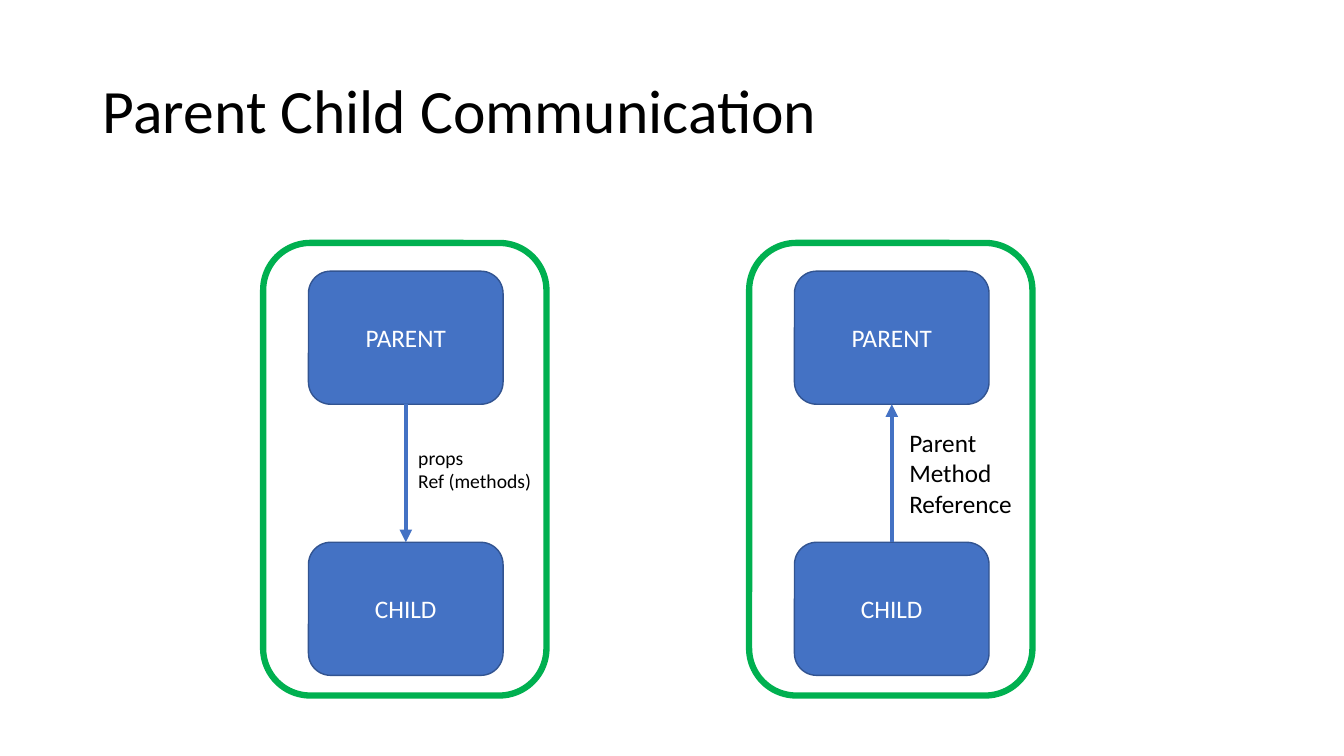
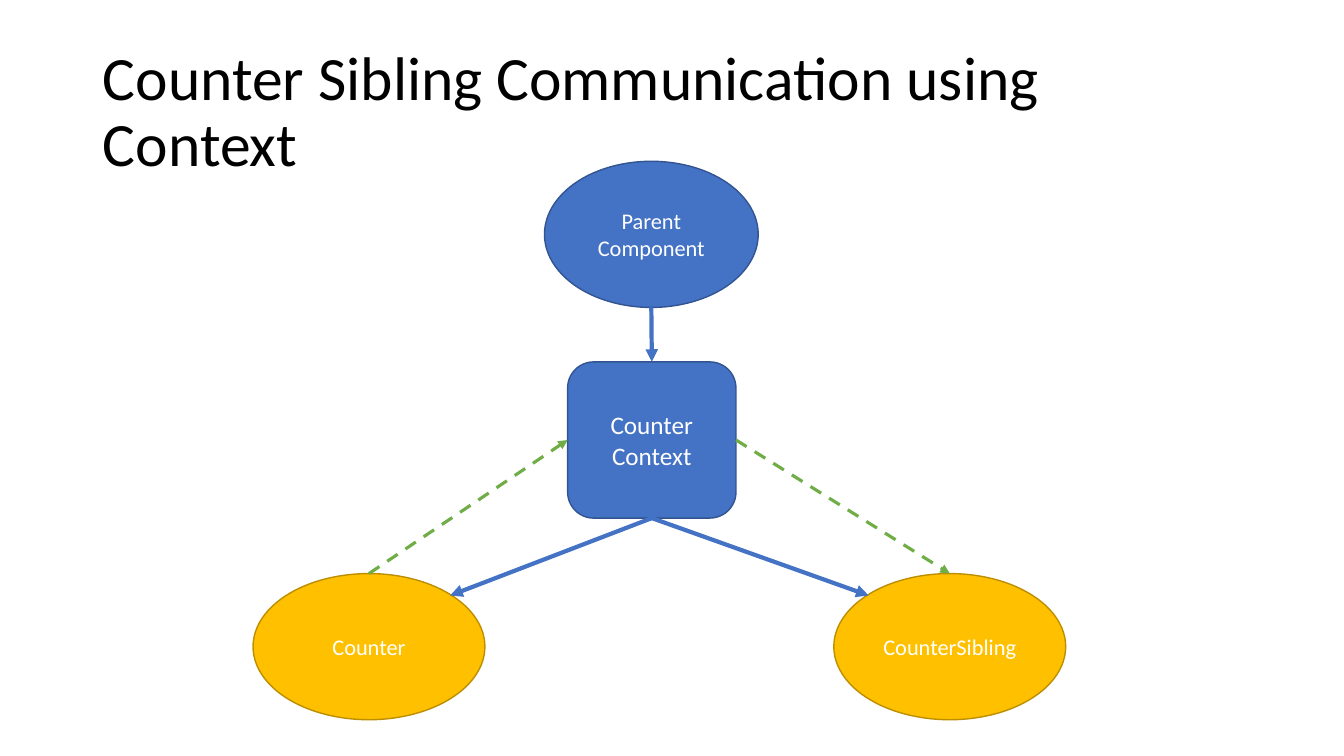
from lxml.etree import SubElement
from pptx import Presentation
from pptx.dml.color import RGBColor
from pptx.enum.dml import MSO_LINE
from pptx.enum.shapes import MSO_CONNECTOR, MSO_SHAPE
from pptx.enum.text import MSO_ANCHOR, MSO_AUTO_SIZE, PP_ALIGN
from pptx.oxml.ns import qn
from pptx.util import Inches, Pt

BLACK = RGBColor(0x00, 0x00, 0x00)
WHITE = RGBColor(0xFF, 0xFF, 0xFF)
BLUE = RGBColor(0x44, 0x72, 0xC4)
DARK_BLUE = RGBColor(0x32, 0x54, 0x91)
GOLD = RGBColor(0xFF, 0xC0, 0x00)
DARK_GOLD = RGBColor(0xBD, 0x8E, 0x00)
FRAME_GREEN = RGBColor(0x00, 0xB0, 0x50)
ARROW_GREEN = RGBColor(0x70, 0xAD, 0x47)

ROUNDED = MSO_SHAPE.ROUNDED_RECTANGLE
OVAL = MSO_SHAPE.OVAL

# Each site: share of the width, share of the height, rectangle site number
SITES = {
    "top": (0.5, 0, 0),
    "left": (0, 0.5, 1),
    "bottom": (0.5, 1, 2),
    "right": (1, 0.5, 3),
    "upper left": (0.15, 0.15, None),
    "upper right": (0.85, 0.15, None),
}


class Diagram:
    """Holds the deck's style and the slide being drawn."""

    font = "Calibri"

    def __init__(self):
        self.deck = Presentation()
        self.deck.slide_width = Inches(13.33)
        self.deck.slide_height = Inches(7.5)
        self.page = None

    def style_text(self, frame, size, color, align=PP_ALIGN.LEFT):
        for para in frame.paragraphs:
            para.alignment = align
            for span in para.runs:
                span.font.name = self.font
                span.font.size = Pt(size)
                span.font.color.rgb = color

    def start_page(self, title):
        self.page = self.deck.slides.add_slide(self.deck.slide_layouts[5])
        box = self.page.shapes.title
        box.left, box.top = Inches(0.92), Inches(0.4)
        box.width, box.height = Inches(11.5), Inches(1.45)
        frame = box.text_frame
        frame.text = title
        frame.auto_size = MSO_AUTO_SIZE.NONE
        frame.vertical_anchor = MSO_ANCHOR.MIDDLE
        frame.paragraphs[0].line_spacing = 0.9
        self.style_text(frame, 44, BLACK)

    def node(self, kind, left, top, width, height, text="", size=18,
             fill=BLUE, line=DARK_BLUE, line_width=1):
        shape = self.page.shapes.add_shape(
            kind, Inches(left), Inches(top), Inches(width), Inches(height))
        shape.shadow.inherit = False
        shape.fill.solid()
        shape.fill.fore_color.rgb = fill
        shape.line.color.rgb = line
        shape.line.width = Pt(line_width)
        shape.text_frame.text = text
        shape.text_frame.vertical_anchor = MSO_ANCHOR.MIDDLE
        self.style_text(shape.text_frame, size, WHITE, PP_ALIGN.CENTER)
        return shape

    def label(self, left, top, width, height, text, size):
        box = self.page.shapes.add_textbox(
            Inches(left), Inches(top), Inches(width), Inches(height))
        box.text_frame.text = text
        box.text_frame.word_wrap = False
        box.text_frame.auto_size = MSO_AUTO_SIZE.SHAPE_TO_FIT_TEXT
        self.style_text(box.text_frame, size, BLACK)

    def arrow(self, source, source_site, target, target_site,
              color=BLUE, width=3, dash=None):
        ends = ((source, source_site), (target, target_site))
        points = []
        for shape, site in ends:
            across, down, _ = SITES[site]
            points += [round(shape.left + across * shape.width),
                       round(shape.top + down * shape.height)]
        line = self.page.shapes.add_connector(MSO_CONNECTOR.STRAIGHT, *points)
        for (shape, site), join in zip(ends, (line.begin_connect, line.end_connect)):
            # Ovals number their sites differently, except for the top
            if site == "top" or shape.auto_shape_type == ROUNDED:
                join(shape, SITES[site][2])
        line.line.color.rgb = color
        line.line.width = Pt(width)
        if dash:
            line.line.dash_style = dash
        properties = line.line._get_or_add_ln()
        SubElement(properties, qn("a:tailEnd"), type="triangle")
        SubElement(properties.getparent(), qn("a:effectLst"))

    def family(self, left):
        """Draws a framed parent and child, and returns both."""
        self.node(ROUNDED, left, 2.41, 2.81, 4.49,
                  fill=WHITE, line=FRAME_GREEN, line_width=4.5)
        return [self.node(ROUNDED, left + 0.45, top, 1.93, 1.32, text)
                for text, top in (("PARENT", 2.69), ("CHILD", 5.38))]


def draw_parent_child(diagram):
    diagram.start_page("Parent Child Communication")
    parent, child = diagram.family(2.61)
    diagram.arrow(parent, "bottom", child, "top")
    diagram.label(4.05, 4.37, 1.33, 0.57, "props\nRef (methods)", 14)

    parent, child = diagram.family(7.43)
    diagram.arrow(child, "top", parent, "bottom")
    diagram.label(8.92, 4.19, 1.23, 1.01, "Parent\nMethod\nReference", 18)


def draw_siblings(diagram):
    diagram.start_page("Counter Sibling Communication using Context")
    parent = diagram.node(OVAL, 5.4, 1.6, 2.12, 1.45, "Parent Component", 16)
    context = diagram.node(ROUNDED, 5.63, 3.59, 1.67, 1.55, "Counter\nContext")
    counter, sibling = [
        diagram.node(OVAL, left, 5.69, 2.3, 1.45, text, 16, GOLD, DARK_GOLD)
        for text, left in (("Counter", 2.51), ("CounterSibling", 8.27))]

    diagram.arrow(parent, "bottom", context, "top")
    diagram.arrow(context, "bottom", counter, "upper right")
    diagram.arrow(context, "bottom", sibling, "upper left")
    update = {"color": ARROW_GREEN, "width": 2.25, "dash": MSO_LINE.DASH}
    diagram.arrow(counter, "top", context, "left", **update)
    diagram.arrow(context, "right", sibling, "top", **update)


def main():
    diagram = Diagram()
    draw_parent_child(diagram)
    draw_siblings(diagram)
    diagram.deck.save("out.pptx")


if __name__ == "__main__":
    main()
